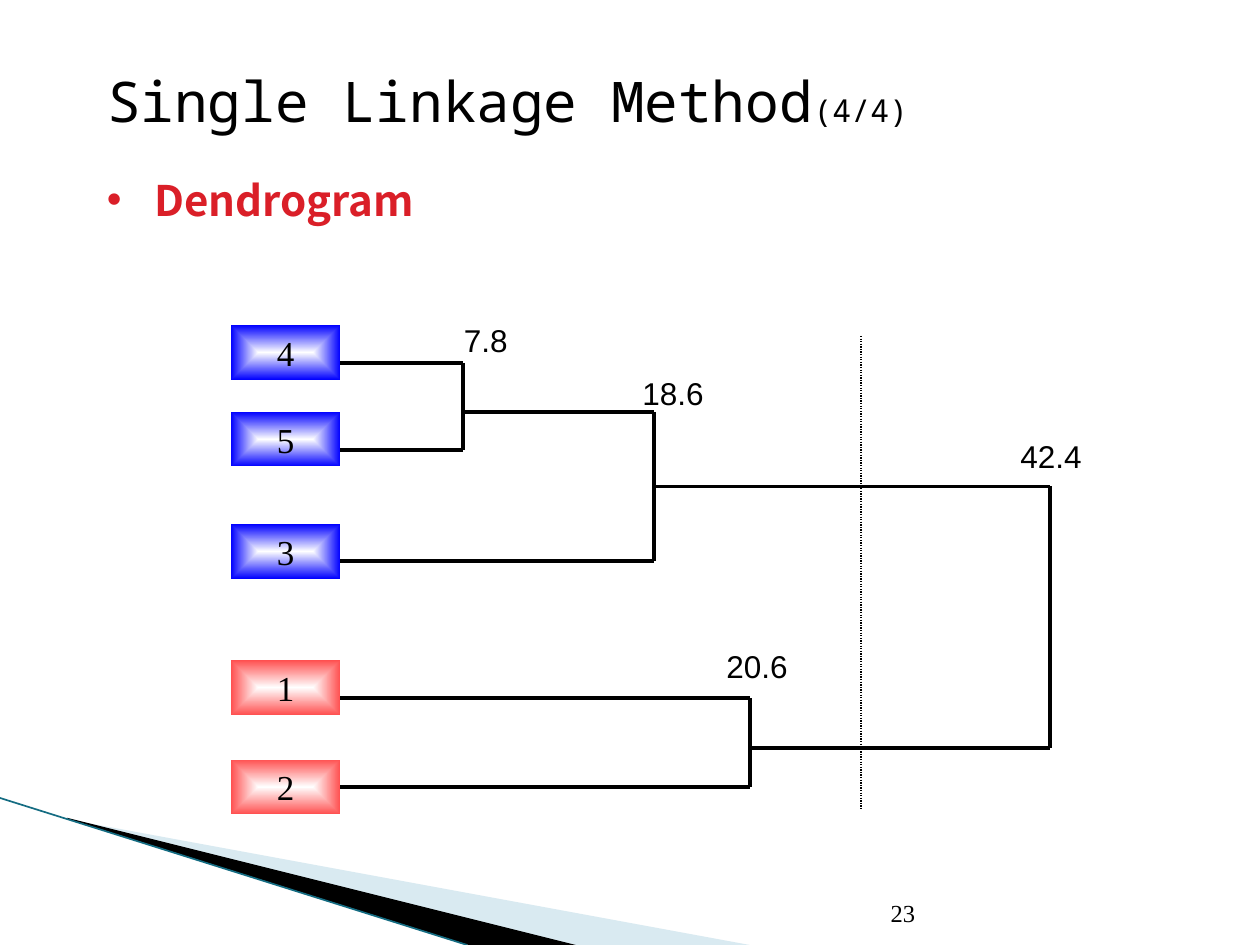
from lxml import etree
from pptx import Presentation
from pptx.dml.color import RGBColor
from pptx.enum.dml import MSO_LINE
from pptx.enum.shapes import MSO_CONNECTOR, MSO_SHAPE
from pptx.enum.text import MSO_ANCHOR as Anchor, PP_ALIGN as Align
from pptx.oxml import parse_xml
from pptx.oxml.ns import nsdecls, qn
from pptx.util import Pt

hex_color = RGBColor.from_string


def write_text(shape, text, size=18, font="Arial", color="000000", bold=False,
               align=Align.LEFT, anchor=Anchor.TOP):
    frame = shape.text_frame
    frame.word_wrap = True
    frame.vertical_anchor = anchor
    paragraph = frame.paragraphs[0]
    paragraph.alignment = align
    run = paragraph.add_run()
    run.text = text
    run.font.size = Pt(size)
    run.font.name = font
    run.font.bold = bold
    run.font.color.rgb = hex_color(color)
    for tag in ("a:ea", "a:cs"):
        etree.SubElement(run.font._element, qn(tag), typeface=font)
    return paragraph


def draw_line(x1, y1, x2, y2, color="000000", width=2.25):
    line = slide.shapes.add_connector(
        MSO_CONNECTOR.STRAIGHT, Pt(x1), Pt(y1), Pt(x2), Pt(y2))
    line.line.color.rgb = hex_color(color)
    line.line.width = Pt(width)
    etree.SubElement(line._element.spPr, qn("a:effectLst"))
    return line


presentation = Presentation()
presentation.slide_width = Pt(720)
presentation.slide_height = Pt(540)
slide = presentation.slides.add_slide(presentation.slide_layouts[5])

wedges = [
    ("A0CBDC", 40, [(39.6, 468.4), (428.4, 540), (328.3, 540), (39.6, 468)]),
    ("000000", 100, [(38.2, 467.3), (329, 540), (267.8, 540), (38.9, 468)]),
]
for color, opacity, points in wedges:
    start, *others = [(Pt(x), Pt(y)) for x, y in points]
    builder = slide.shapes.build_freeform(*start)
    builder.add_line_segments(others)
    wedge = builder.convert_to_shape()
    wedge.shadow.inherit = False
    wedge.fill.solid()
    wedge.fill.fore_color.rgb = hex_color(color)
    wedge.line.fill.background()
    fill_color = wedge.fill._xPr.find(qn("a:solidFill"))[0]
    etree.SubElement(fill_color, qn("a:alpha"), val=str(opacity * 1000))
draw_line(0, 456, 267, 540, color="146C82", width=0.95)

title = slide.shapes.title
title.left, title.top, title.width, title.height = Pt(54), Pt(18), Pt(612), Pt(78)
write_text(title, "Single Linkage Method", size=32, font="Noto Sans Mono",
           anchor=Anchor.MIDDLE)
write_text(title, "(4/4)", font="Noto Sans Mono", anchor=Anchor.MIDDLE)

page_number = slide.shapes.add_textbox(Pt(345), Pt(505), Pt(185), Pt(28.8))
write_text(page_number, "23", size=14, font="Times New Roman",
           align=Align.RIGHT, anchor=Anchor.BOTTOM)

body = slide.shapes.add_textbox(Pt(54), Pt(96), Pt(612), Pt(384))
heading = write_text(body, "Dendrogram", size=24, font="Noto Sans CJK KR",
                     color="DA1F28", bold=True)
properties = heading._p.get_or_add_pPr()
properties.set("marL", str(Pt(27)))
properties.set("indent", str(-Pt(27)))
etree.SubElement(properties, qn("a:buFont"), typeface="Arial")
etree.SubElement(properties, qn("a:buChar"), char="•")

box_left, box_width, box_height = 132, 62.4, 31.2
box_right = box_left + box_width
leaves = [
    ("4", 185.8, "0000FF"),
    ("5", 235.4, "0000FF"),
    ("3", 299.5, "0000FF"),
    ("1", 377.3, "FF5050"),
    ("2", 434, "FF5050"),
]
boxes = {}
for name, top, color in leaves:
    box = slide.shapes.add_shape(
        MSO_SHAPE.RECTANGLE, Pt(box_left), Pt(top), Pt(box_width), Pt(box_height))
    box.shadow.inherit = False
    box.line.fill.background()
    box.fill.background()
    no_fill = box._element.spPr.find(qn("a:noFill"))
    box._element.spPr.replace(no_fill, parse_xml(
        f'<a:gradFill {nsdecls("a")} rotWithShape="1"><a:gsLst>'
        f'<a:gs pos="0"><a:srgbClr val="FFFFFF"/></a:gs>'
        f'<a:gs pos="100000"><a:srgbClr val="{color}"/></a:gs></a:gsLst>'
        f'<a:path path="shape"><a:fillToRect l="50000" t="50000" r="50000" b="50000"/>'
        f'</a:path></a:gradFill>'))
    write_text(box, name, size=20, font="Times New Roman",
               align=Align.CENTER, anchor=Anchor.MIDDLE)
    boxes[name] = box

merges = [
    (264.6, (box_right, 207.4), (box_right, 257)),
    (373.7, (264.6, 235.6), (box_right, 320.5)),
    (428.4, (box_right, 399), (box_right, 449.6)),
    (600, (373.7, 278), (428.4, 427.2)),
]
for x, (upper_x, upper_y), (lower_x, lower_y) in merges:
    draw_line(upper_x, upper_y, x, upper_y)
    lower_branch = draw_line(lower_x, lower_y, x, lower_y)
    if lower_y == 449.6:
        lower_branch.begin_connect(boxes["2"], 3)
    draw_line(x, upper_y, x, lower_y)

distances = [("7.8", 258, 180), ("18.6", 360, 210), ("20.6", 408, 366), ("42.4", 576, 246)]
for distance, left, top in distances:
    label = slide.shapes.add_textbox(Pt(left), Pt(top), Pt(54), Pt(28.8))
    write_text(label, distance)

cut = draw_line(492, 192, 492, 462, width=0.75)
cut.line.dash_style = MSO_LINE.ROUND_DOT

presentation.save("out.pptx")
